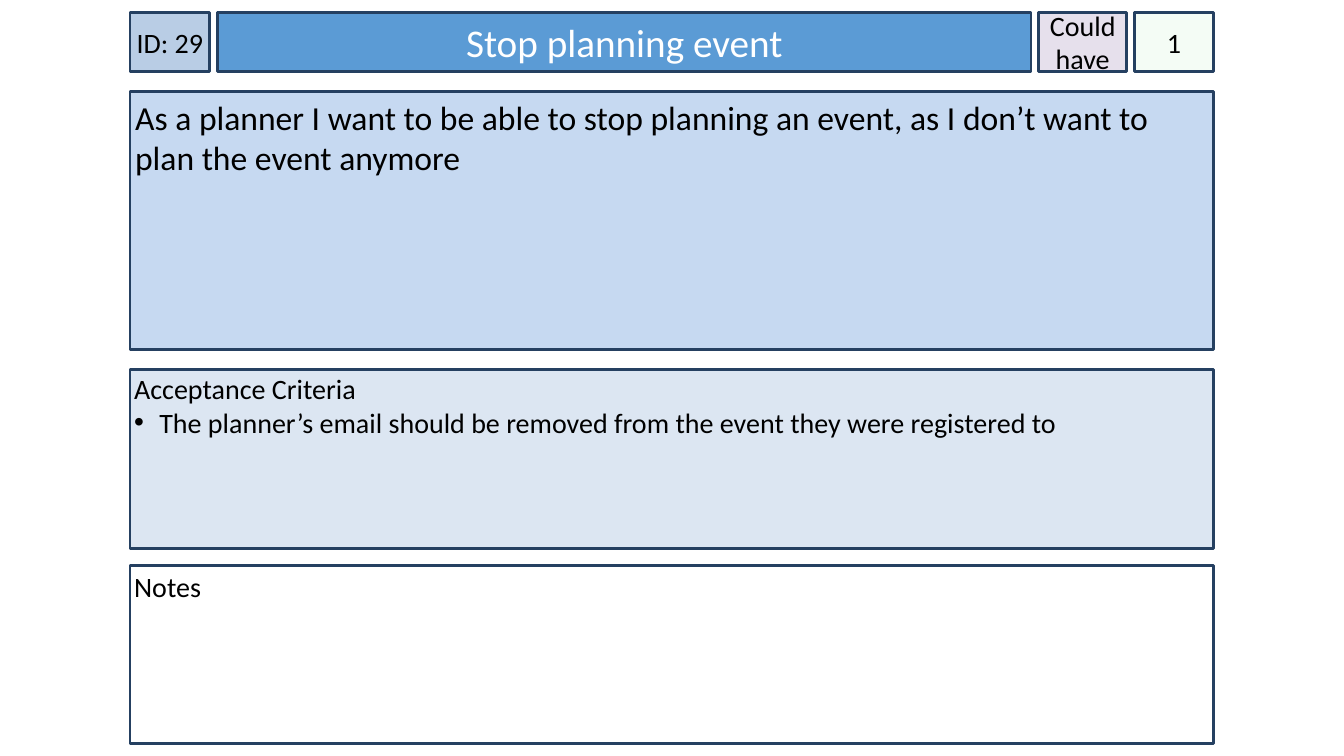
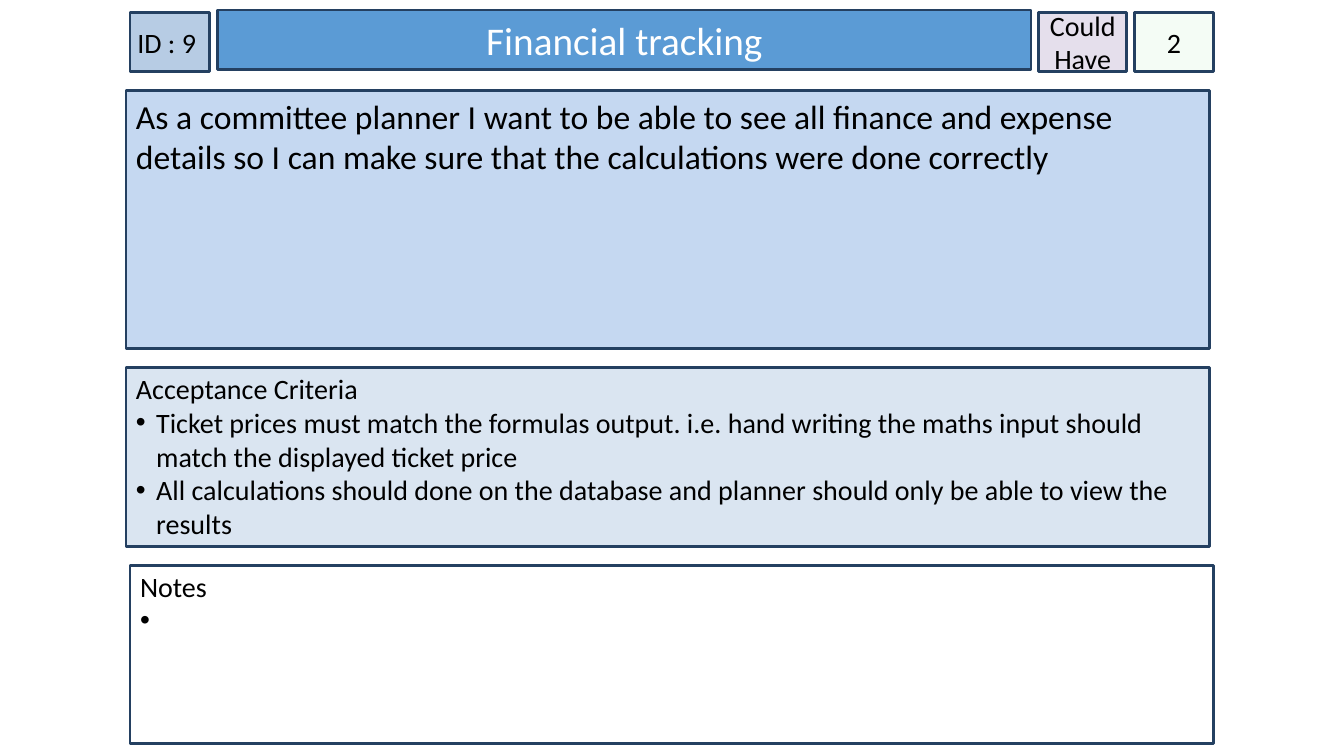
from dataclasses import dataclass, replace

from lxml.etree import SubElement as Sub
from pptx import Presentation
from pptx.dml.color import RGBColor as RGB
from pptx.enum.shapes import MSO_SHAPE as Shape
from pptx.enum.text import MSO_ANCHOR as Anchor, MSO_AUTO_SIZE as AutoSize, PP_ALIGN as Align
from pptx.oxml.ns import qn
from pptx.util import Inches, Pt

WIDTH, HEIGHT = Inches(13.33), Inches(7.5)
TITLE_ONLY = 5


@dataclass(frozen=True)
class Theme:
    font: str = "Calibri"
    title_size: int = 28
    story_size: int = 24
    body_size: int = 20
    line_width: int = 2
    line: str = "254061"
    text: str = "000000"
    title_text: str = "FFFFFF"
    title_fill: str = "5B9BD5"
    id_fill: str = "B9CDE5"
    story_fill: str = "C6D9F1"
    criteria_fill: str = "DCE6F2"
    priority_fill: str = "E6E0EC"
    estimate_fill: str = "CCF0CD"
    estimate_alpha: int = 20
    remarks_fill: str = "FFFFFF"


BLUE = Theme()
SOFT_BLUE = replace(BLUE, line="244061", id_fill="B7CCE4", story_fill="C5D8F1",
                    criteria_fill="DAE5F1", priority_fill="E5DFEC")


@dataclass(frozen=True)
class Box:
    """A rectangle in percent of the slide's width and height."""
    x: float
    y: float
    w: float
    h: float

    def shift(self, dx: float, dy: float) -> "Box":
        return replace(self, x=self.x + dx, y=self.y + dy)


@dataclass(frozen=True)
class Insets:
    """Text margins in inches."""
    side: float = 0
    top: float = 0.05
    bottom: float = 0.05


@dataclass(frozen=True)
class Style:
    fill: str
    line: str
    size: int
    color: str
    insets: Insets
    centred: bool = False
    hang: float = 0.2


@dataclass(frozen=True)
class Card:
    """One user story; shifts are percent of the slide."""
    number: str
    title: str
    priority: str
    estimate: str
    story: str
    criteria: list[str]
    remarks: list[str]
    theme: Theme
    side_inset: float
    title_inset: float
    story_inset: float
    criteria_top: float
    hang: float = 0.2
    title_shift: tuple[float, float] = (0, 0)
    story_shift: tuple[float, float] = (0, 0)
    criteria_shift: tuple[float, float] = (0, 0)


# Header columns and body rows
LEFT, GAP, BODY_WIDTH = 9.68, 0.57, 80.64
HEADER_TOP, HEADER_HEIGHT = 1.6, 7.87
HEADER_WIDTHS = (5.93, 60.54, 6.53, 5.93)
STORY_BOX = Box(LEFT, 12.13, BODY_WIDTH, 34.13)
CRITERIA_BOX = Box(LEFT, 48.93, BODY_WIDTH, 23.6)
REMARKS_BOX = Box(LEFT, 74.8, BODY_WIDTH, 23.6)


def header_box(col: int) -> Box:
    x = LEFT + sum(HEADER_WIDTHS[:col]) + col * GAP
    return Box(x, HEADER_TOP, HEADER_WIDTHS[col], HEADER_HEIGHT)


CARDS = [
    Card("ID: 29", "Stop planning event", "Could have", "1",
         "As a planner I want to be able to stop planning an event, "
         "as I don’t want to plan the event anymore",
         ["The planner’s email should be removed from the event they were registered to"],
         [], BLUE, side_inset=0.04, title_inset=0.05, story_inset=0.05,
         criteria_top=0.02, hang=0.25),
    Card("ID : 9 ", "Financial tracking", "Could Have", "2",
         "As a committee planner I want to be able to see all finance and expense "
         "details so I can make sure that the calculations were done correctly",
         ["Ticket prices must match the formulas output. i.e. hand writing the maths "
          "input should match the displayed ticket price",
          "All calculations should done on the database and planner should only be "
          "able to view the results"],
         [" "], SOFT_BLUE, side_inset=0.1, title_inset=0.1, story_inset=0.1,
         criteria_top=0.04, title_shift=(0, -0.27), story_shift=(-0.3, -0.13),
         criteria_shift=(-0.3, -0.27)),
]


def place(sp, box: Box) -> None:
    sp.left, sp.width = int(WIDTH * box.x / 100), int(WIDTH * box.w / 100)
    sp.top, sp.height = int(HEIGHT * box.y / 100), int(HEIGHT * box.h / 100)


def add_bullet(p, hang: float) -> None:
    p_pr = p._p.get_or_add_pPr()
    p_pr.set("marL", str(Inches(hang)))
    p_pr.set("indent", str(-Inches(hang)))
    Sub(p_pr, qn("a:buFont"), typeface="Arial")
    Sub(p_pr, qn("a:buChar"), char="•")


def set_alpha(sp, percent: int) -> None:
    color = sp._element.spPr.find(qn("a:solidFill"))[0]
    Sub(color, qn("a:alpha"), val=str(percent * 1000))


def format_box(sp, style: Style, text: str, bullets: list[str], theme: Theme) -> None:
    """Paint a shape and fill it with a lead line and bulleted lines."""
    sp.fill.solid()
    sp.fill.fore_color.rgb = RGB.from_string(style.fill)
    sp.line.color.rgb = RGB.from_string(style.line)
    sp.line.width = Pt(theme.line_width)

    tf = sp.text_frame
    tf.word_wrap = True
    tf.auto_size = AutoSize.NONE
    tf.vertical_anchor = Anchor.MIDDLE if style.centred else Anchor.TOP
    tf.margin_left = tf.margin_right = Inches(style.insets.side)
    tf.margin_top = Inches(style.insets.top)
    tf.margin_bottom = Inches(style.insets.bottom)
    tf.text = "\n".join([text, *bullets])
    for i, p in enumerate(tf.paragraphs):
        p.alignment = Align.CENTER if style.centred else Align.LEFT
        if i:
            add_bullet(p, style.hang)
        for r in p.runs:
            r.font.name = theme.font
            r.font.size = Pt(style.size)
            r.font.color.rgb = RGB.from_string(style.color)


def add_panel(s, box: Box, style: Style, text: str, theme: Theme,
              bullets: list[str] | None = None):
    sp = s.shapes.add_shape(Shape.RECTANGLE, 0, 0, 0, 0)
    place(sp, box)
    sp.shadow.inherit = False
    format_box(sp, style, text, bullets or [], theme)
    return sp


def add_card(prs, card: Card) -> None:
    t = card.theme
    s = prs.slides.add_slide(prs.slide_layouts[TITLE_ONLY])

    # Title bar
    title = s.shapes.title
    place(title, header_box(1).shift(*card.title_shift))
    format_box(title, Style(t.title_fill, t.line, t.title_size, t.title_text,
                            Insets(card.title_inset), centred=True), card.title, [], t)

    # Small header tiles
    tile = Style(t.id_fill, t.line, t.body_size, t.text, Insets(), centred=True)
    add_panel(s, header_box(0), tile, card.number, t)
    add_panel(s, header_box(2), replace(tile, fill=t.priority_fill), card.priority, t)
    estimate = add_panel(s, header_box(3), replace(tile, fill=t.estimate_fill),
                         card.estimate, t)
    set_alpha(estimate, t.estimate_alpha)

    # Story, acceptance criteria and remarks
    story = Style(t.story_fill, t.line, t.story_size, t.text, Insets(card.story_inset))
    criteria = replace(story, fill=t.criteria_fill, size=t.body_size, hang=card.hang,
                       insets=Insets(card.side_inset, card.criteria_top))
    remarks = replace(criteria, fill=t.remarks_fill, insets=Insets(card.side_inset, 0.04))
    add_panel(s, STORY_BOX.shift(*card.story_shift), story, card.story, t)
    add_panel(s, CRITERIA_BOX.shift(*card.criteria_shift), criteria,
              "Acceptance Criteria", t, card.criteria)
    add_panel(s, REMARKS_BOX, remarks, "Notes", t, card.remarks)


def main() -> None:
    prs = Presentation()
    prs.slide_width, prs.slide_height = WIDTH, HEIGHT
    for card in CARDS:
        add_card(prs, card)
    prs.save("out.pptx")


if __name__ == "__main__":
    main()
